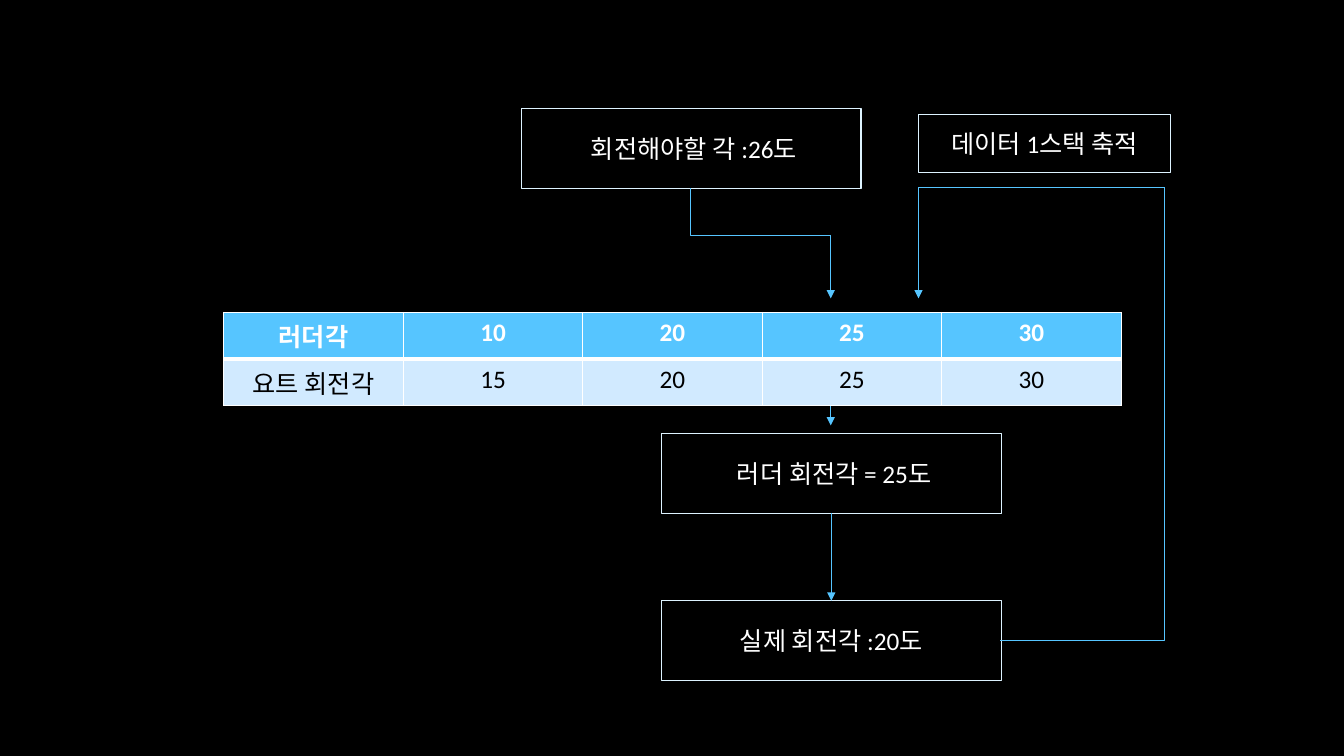
from lxml.etree import SubElement
from pptx import Presentation
from pptx.dml.color import RGBColor
from pptx.enum.shapes import MSO_CONNECTOR, MSO_SHAPE
from pptx.enum.text import MSO_ANCHOR, PP_ALIGN
from pptx.oxml.ns import qn
from pptx.util import Inches, Pt


def color(hex_value):
    """Turn a hex string into a colour."""
    return RGBColor.from_string(hex_value)


class FlowSlide:
    """Hold the flow chart style and draw its parts on one slide."""

    BACK, WHITE, BLACK = "000000", "FFFFFF", "000000"
    ARROW, OUTLINE = "56C5FF", "DDF3FF"
    HEADER, BODY = "56C5FF", "D1EAFF"
    FONT = {"name": "Calibri", "size": Pt(18)}

    def __init__(self, slide):
        """Take the slide and paint its background."""
        self.slide = slide
        slide.background.fill.solid()
        slide.background.fill.fore_color.rgb = color(self.BACK)

    def label(self, frame, words, text_color, bold=False):
        """Put one centred line of text into a frame."""
        line = frame.paragraphs[0]
        line.alignment = PP_ALIGN.CENTER
        run = line.add_run()
        run.text = words
        for key, value in {**self.FONT, "bold": bold}.items():
            setattr(run.font, key, value)
        run.font.color.rgb = color(text_color)

    def step(self, words, left, top, width=3.37, height=0.79):
        """Draw an outlined box with a step of the flow."""
        box = self.slide.shapes.add_shape(
            MSO_SHAPE.RECTANGLE, Inches(left), Inches(top), Inches(width), Inches(height))
        box.shadow.inherit = False
        box.fill.background()
        box.line.color.rgb = color(self.OUTLINE)
        box.line.width = Pt(0.75)
        box.text_frame.word_wrap = True
        box.text_frame.vertical_anchor = MSO_ANCHOR.MIDDLE
        self.label(box.text_frame, words, self.WHITE)
        return box

    def link(self, start, end, arrow=True, bent=False):
        """Draw a straight line, or one with a single corner."""
        kind = MSO_CONNECTOR.ELBOW if bent else MSO_CONNECTOR.STRAIGHT
        link = self.slide.shapes.add_connector(kind, *map(Inches, start + end))
        link.line.color.rgb = color(self.ARROW)
        link.line.width = Pt(0.5)
        properties = link._element.spPr
        if bent:
            properties.find(qn("a:prstGeom")).set("prst", "bentConnector2")
        if arrow:
            SubElement(properties.find(qn("a:ln")), qn("a:tailEnd"), type="triangle")
        SubElement(properties, qn("a:effectLst"))
        return link

    def border(self, cell, widths):
        """Give a cell white borders, with widths in points by side."""
        properties = cell._tc.get_or_add_tcPr()
        for side, width in widths.items():
            edge = SubElement(properties, qn(f"a:ln{side}"), w=str(Pt(width)))
            fill = SubElement(edge, qn("a:solidFill"))
            SubElement(fill, qn("a:srgbClr"), val=self.WHITE)

    def angle_table(self, rows, left, top, column_width, row_height):
        """Draw the table of angles with a header row."""
        count = len(rows[0])
        table = self.slide.shapes.add_table(
            len(rows), count, Inches(left), Inches(top),
            Inches(column_width * count), Inches(row_height * len(rows))).table
        for column in table.columns:
            column.width = Inches(column_width)
        for r, values in enumerate(rows):
            header = r == 0
            for c, value in enumerate(values):
                cell = table.cell(r, c)
                self.border(cell, {"L": 1, "R": 1, "T": 1 if header else 3,
                                   "B": 3 if header else 1})
                cell.fill.solid()
                cell.fill.fore_color.rgb = color(self.HEADER if header else self.BODY)
                self.label(cell.text_frame, value,
                           self.WHITE if header else self.BLACK, header)


def main():
    """Build the rudder angle slide."""
    deck = Presentation()
    deck.slide_width, deck.slide_height = Inches(13.33), Inches(7.5)
    flow = FlowSlide(deck.slides.add_slide(deck.slide_layouts[6]))

    main_x, return_x, feedback_x = 8.24, 9.11, 11.55
    flow.step(" 회전해야할 각 :26도", 5.17, 1.08)
    flow.link((main_x, 2.34), (6.85, 1.87), arrow=False, bent=True)
    flow.link((main_x, 2.33), (main_x, 2.96))
    flow.link((main_x, 3.37), (main_x, 4.22))

    rudder = flow.step(" 러더 회전각 = 25도", 6.56, 4.3)
    actual = flow.step("실제 회전각 :20도", 6.56, 5.96)
    turning = flow.link((main_x, 5.09), (main_x, 5.96))
    turning.begin_connect(rudder, 2)
    turning.end_connect(actual, 0)

    flow.link((9.92, 6.35), (feedback_x, 1.86), arrow=False, bent=True)
    flow.link((feedback_x, 1.86), (return_x, 1.86), arrow=False)
    flow.link((return_x, 1.86), (return_x, 2.96))
    flow.step("데이터 1스택 축적", return_x, 1.14, 2.5, 0.57)

    flow.angle_table([["러더각", "10", "20", "25", "30"],
                      ["요트 회전각", "15", "20", "25", "30"]], 2.22, 3.1, 1.78, 0.41)
    deck.save("out.pptx")


if __name__ == "__main__":
    main()
